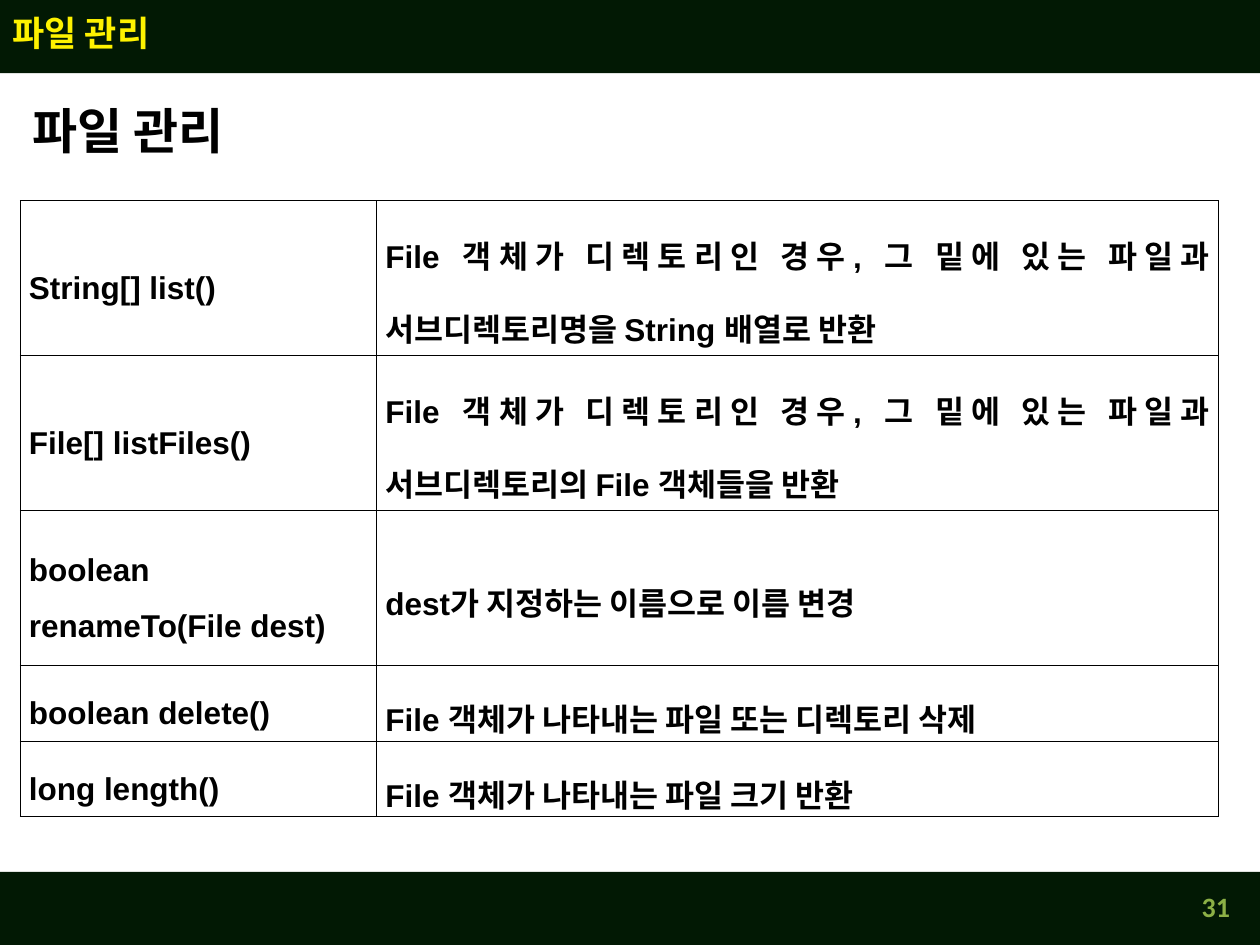
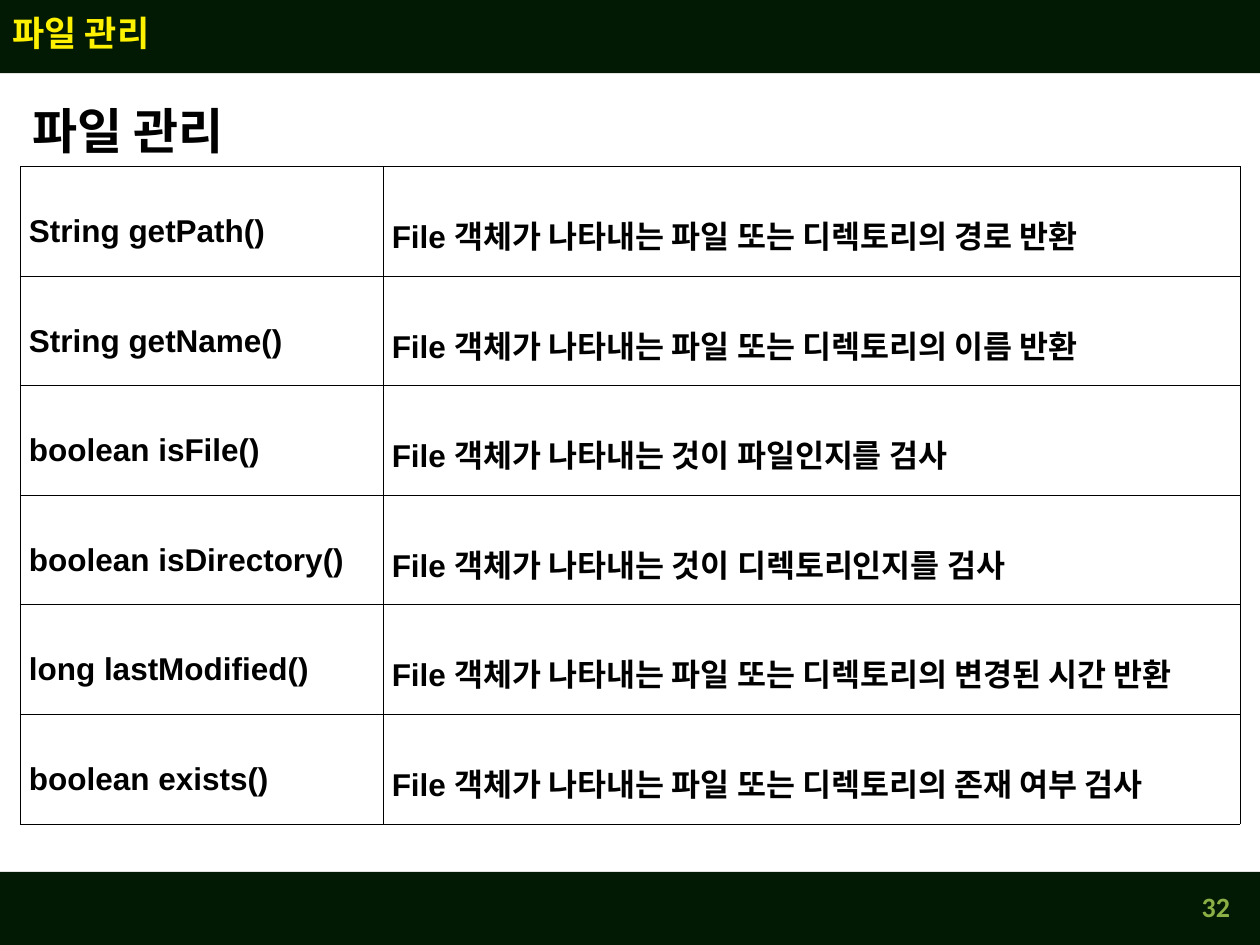
from lxml import etree
from pptx import Presentation
from pptx import util as u
from pptx.dml import color
from pptx.enum import shapes, text
from pptx.oxml import ns

BAND = "021904"
TITLE = "FEF200"
NUMBER = "8CB046"
BLACK = "000000"
TOPIC = "파일 관리"
BAND_HEIGHT = 0.58
TABLE_LEFT = 0.16

DIRECTORY_METHODS = [
    ("String[] list()", "File 객체가 디렉토리인 경우, 그 밑에 있는 파일과 서브디렉토리명을 String 배열로 반환"),
    ("File[] listFiles()", "File 객체가 디렉토리인 경우, 그 밑에 있는 파일과 서브디렉토리의 File 객체들을 반환"),
    ("boolean renameTo(File dest)", "dest가 지정하는 이름으로 이름 변경"),
    ("boolean delete()", "File 객체가 나타내는 파일 또는 디렉토리 삭제"),
    ("long length()", "File 객체가 나타내는 파일 크기 반환"),
]
PROPERTY_METHODS = [
    ("String getPath()", "File 객체가 나타내는 파일 또는 디렉토리의 경로 반환"),
    ("String getName()", "File 객체가 나타내는 파일 또는 디렉토리의 이름 반환"),
    ("boolean isFile()", "File 객체가 나타내는 것이 파일인지를 검사"),
    ("boolean isDirectory()", "File 객체가 나타내는 것이 디렉토리인지를 검사"),
    ("long lastModified()", "File 객체가 나타내는 파일 또는 디렉토리의 변경된 시간 반환"),
    ("boolean exists()", "File 객체가 나타내는 파일 또는 디렉토리의 존재 여부 검사"),
]


def rgb(value):
    return color.RGBColor.from_string(value)


def inches(*lengths):
    return [u.Inches(length) for length in lengths]


def write(frame, words, size, font, ink, align=text.PP_ALIGN.LEFT):
    frame.text = words
    para = frame.paragraphs[0]
    para.alignment = align
    for span in para.runs:
        span.font.size = u.Pt(size)
        span.font.name = font
        span.font.bold = True
        span.font.color.rgb = rgb(ink)
    return para


def fit_to_text(frame):
    frame.word_wrap = False
    frame.auto_size = text.MSO_AUTO_SIZE.SHAPE_TO_FIT_TEXT


def add_band(page, top):
    band = page.shapes.add_shape(
        shapes.MSO_SHAPE.RECTANGLE, *inches(0, top, 10, BAND_HEIGHT))
    band.shadow.inherit = False
    band.fill.solid()
    band.fill.fore_color.rgb = rgb(BAND)
    band.line.fill.background()


def add_title(page):
    title = page.shapes.title
    title.left, title.top, title.width, title.height = inches(0, 0.04, 1.42, 0.44)
    frame = title.text_frame
    write(frame, TOPIC, 20, "Arial", TITLE)
    frame.vertical_anchor = text.MSO_ANCHOR.MIDDLE
    fit_to_text(frame)
    title.element.getparent().append(title.element)


def add_heading(page):
    box = page.shapes.add_textbox(*inches(0.16, 0.75, 1.86, 0.57))
    write(box.text_frame, TOPIC, 28, "Calibri", BLACK)
    fit_to_text(box.text_frame)


def add_page_number(page, number):
    box = page.shapes.add_textbox(*inches(9.07, 7.01, 0.79, 0.4))
    box.text_frame.word_wrap = True
    write(box.text_frame, str(number), 16, "Calibri", NUMBER, text.PP_ALIGN.RIGHT)


def add_page(deck, number):
    page = deck.slides.add_slide(deck.slide_layouts[5])
    add_band(page, 0)
    add_band(page, 7.5 - BAND_HEIGHT)
    add_page_number(page, number)
    add_title(page)
    add_heading(page)
    return page


def add_borders(cell):
    properties = cell._tc.get_or_add_tcPr()
    for index, side in enumerate(("lnL", "lnR", "lnT", "lnB")):
        line = etree.Element(ns.qn(f"a:{side}"), w=str(u.Pt(0.28)))
        fill = etree.SubElement(line, ns.qn("a:solidFill"))
        etree.SubElement(fill, ns.qn("a:srgbClr"), val=BLACK)
        properties.insert(index, line)


def format_cell(cell, words):
    para = write(cell.text_frame, words, 18, "Arial", BLACK, text.PP_ALIGN.JUSTIFY)
    para.line_spacing = 1.6
    cell.vertical_anchor = text.MSO_ANCHOR.MIDDLE
    cell.margin_left = cell.margin_right = u.Inches(0.07)
    cell.margin_top = cell.margin_bottom = u.Inches(0.02)
    cell.fill.background()
    add_borders(cell)


def add_method_table(page, top, widths, heights, methods):
    frame = page.shapes.add_table(
        len(methods), len(widths),
        *inches(TABLE_LEFT, top, sum(widths), sum(heights)))
    table = frame.table
    table.first_row = False
    table.horz_banding = False
    for column, width in zip(table.columns, widths):
        column.width = u.Inches(width)
    for row, height, method in zip(table.rows, heights, methods):
        row.height = u.Inches(height)
        for cell, words in zip(row.cells, method):
            format_cell(cell, words)


def main():
    deck = Presentation()
    deck.slide_width, deck.slide_height = inches(10, 7.5)
    add_method_table(add_page(deck, 31), 1.59, (2.83, 6.68),
                     [1.23] * 3 + [0.6] * 2, DIRECTORY_METHODS)
    add_method_table(add_page(deck, 32), 1.32, (2.88, 6.8),
                     [0.87] * 6, PROPERTY_METHODS)
    deck.save("out.pptx")


if __name__ == "__main__":
    main()
